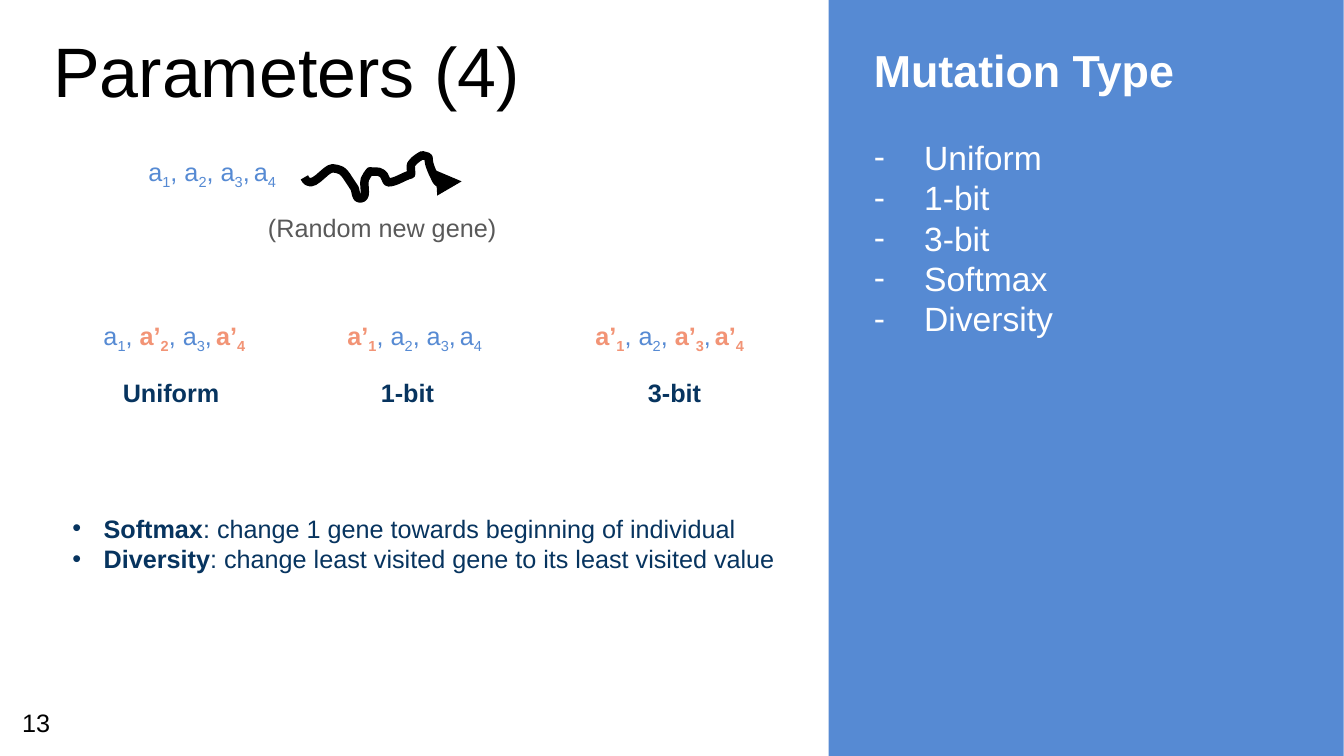
from lxml import etree
from pptx import Presentation
from pptx.dml.color import RGBColor
from pptx.enum.shapes import MSO_SHAPE
from pptx.enum.text import MSO_ANCHOR, PP_ALIGN
from pptx.oxml.ns import qn
from pptx.util import Inches, Pt

BLUE = RGBColor(0x56, 0x8A, 0xD3)
NAVY = RGBColor(0x07, 0x34, 0x5F)
CORAL = RGBColor(0xF2, 0x94, 0x76)
GRAY = RGBColor(0x59, 0x59, 0x59)
BLACK = RGBColor(0, 0, 0)
WHITE = RGBColor(0xFF, 0xFF, 0xFF)

deck = Presentation()
deck.slide_width = Inches(40 / 3)
deck.slide_height = Inches(7.5)
page = deck.slides.add_slide(deck.slide_layouts[6])


def add_text(paragraphs, left, top, width, height, size=18, color=NAVY, bold=False,
             wrap=True, align=PP_ALIGN.LEFT, bullet=None, indent=0):
    box = page.shapes.add_textbox(Inches(left), Inches(top), Inches(width), Inches(height))
    frame = box.text_frame
    frame.word_wrap = wrap
    for number, spans in enumerate(paragraphs):
        para = frame.add_paragraph() if number else frame.paragraphs[0]
        para.alignment = align
        if bullet:
            properties = para._p.get_or_add_pPr()
            properties.set("marL", str(Inches(indent)))
            properties.set("indent", str(-Inches(indent)))
            etree.SubElement(properties, qn("a:buFont")).set("typeface", "Arial")
            etree.SubElement(properties, qn("a:buChar")).set("char", bullet)
        for text, changes in spans:
            span = para.add_run()
            span.text = text
            span.font.name = "Arial"
            span.font.size = Pt(size)
            span.font.bold = changes.get("bold", bold)
            span.font.color.rgb = changes.get("color", color)
            if changes.get("subscript"):
                span.font._element.set("baseline", "-25000")
    return frame


def add_genes(mutated, left, top, width):
    spans = []
    for gene in range(1, 5):
        if gene == 4:
            spans += [(",", {}), (" ", {"subscript": True})]
        elif gene > 1:
            spans.append((", ", {}))
        look = {"color": CORAL, "bold": True} if gene in mutated else {}
        spans.append(("a’" if gene in mutated else "a", look))
        spans.append((str(gene), {**look, "subscript": True}))
    add_text([spans], left, top, width, 0.4, color=BLUE, wrap=False, align=PP_ALIGN.CENTER)


sidebar = page.shapes.add_shape(MSO_SHAPE.RECTANGLE, Inches(8.22), 0, Inches(5.11), Inches(7.5))
sidebar.shadow.inherit = False
sidebar.fill.solid()
sidebar.fill.fore_color.rgb = BLUE
sidebar.line.fill.background()

title = add_text([[("Parameters (4)", {})]], 0.43, 0.37, 12.66, 0.79, size=50, color=BLACK)
title.vertical_anchor = MSO_ANCHOR.MIDDLE
title.margin_top = Inches(0.1)
title.paragraphs[0].line_spacing = 0.7

add_text([[("Mutation Type", {})]], 8.57, 0.37, 4.02, 0.64, size=32, color=WHITE, bold=True)
mutation_types = ["Uniform", "1-bit", "3-bit", "Softmax", "Diversity"]
add_text([[(name, {})] for name in mutation_types], 8.57, 1.31, 4.02, 2.11,
         size=24, color=WHITE, bullet="-", indent=0.5)

add_genes([], 1.34, 1.5, 1.53)
add_text([[("(Random new gene)", {})]], 2.56, 2.06, 2.49, 0.4, color=GRAY, wrap=False)

squiggle_points = [
    (3.09, 1.91), (3.22, 1.67), (3.3, 1.67),
    (3.37, 1.68), (3.4, 1.68), (3.46, 1.78),
    (3.48, 1.81), (3.5, 1.84), (3.52, 1.87),
    (3.53, 1.9), (3.53, 1.96), (3.56, 1.97),
    (3.66, 1.98), (3.6, 1.85), (3.62, 1.78),
    (3.63, 1.75), (3.65, 1.73), (3.67, 1.7),
    (3.71, 1.71), (3.75, 1.69), (3.79, 1.72),
    (3.82, 1.73), (3.83, 1.81), (3.85, 1.81),
    (3.93, 1.81), (4, 1.75), (4.08, 1.73),
    (4.08, 1.69), (4.07, 1.65), (4.08, 1.63),
    (4.11, 1.58), (4.19, 1.54), (4.19, 1.54),
    (4.32, 1.58), (4.19, 1.51), (4.31, 1.75),
    (4.34, 1.82), (4.41, 1.85), (4.45, 1.86),
    (4.5, 1.87), (4.55, 1.8), (4.58, 1.8),
]
builder = page.shapes.build_freeform(Inches(3.02), Inches(1.76))
builder.add_line_segments([(Inches(x), Inches(y)) for x, y in squiggle_points], close=False)
squiggle = builder.convert_to_shape()
squiggle.shadow.inherit = False
squiggle.fill.background()
squiggle.line.color.rgb = BLACK
squiggle.line.width = Pt(6)
etree.SubElement(squiggle.line._get_or_add_ln(), qn("a:tailEnd")).set("type", "triangle")
segments = list(squiggle._element.iter(qn("a:lnTo")))
for start in range(0, len(segments), 3):
    curve = etree.SubElement(segments[start].getparent(), qn("a:cubicBezTo"))
    for segment in segments[start:start + 3]:
        curve.append(segment[0])
        segment.getparent().remove(segment)

examples = [
    ("Uniform", 1.12, [2, 4], 0.9, 1.66),
    ("1-bit", 3.68, [1], 3.3, 1.63),
    ("3-bit", 6.33, [1, 3, 4], 5.78, 1.73),
]
for name, name_left, mutated, genes_left, genes_width in examples:
    add_genes(mutated, genes_left, 3.13, genes_width)
    add_text([[(name, {})]], name_left, 3.69, 1.23, 0.4, bold=True)

explanations = [
    ("Softmax", ": change 1 gene towards beginning of individual"),
    ("Diversity", ": change least visited gene to its least visited value"),
]
add_text([[(name, {"bold": True}), (meaning, {})] for name, meaning in explanations],
         0.62, 5.04, 7.39, 0.71, bullet="•", indent=0.31)

add_text([[("13", {})]], 0.12, 6.97, 0.61, 0.4, color=BLACK)

deck.save("out.pptx")
